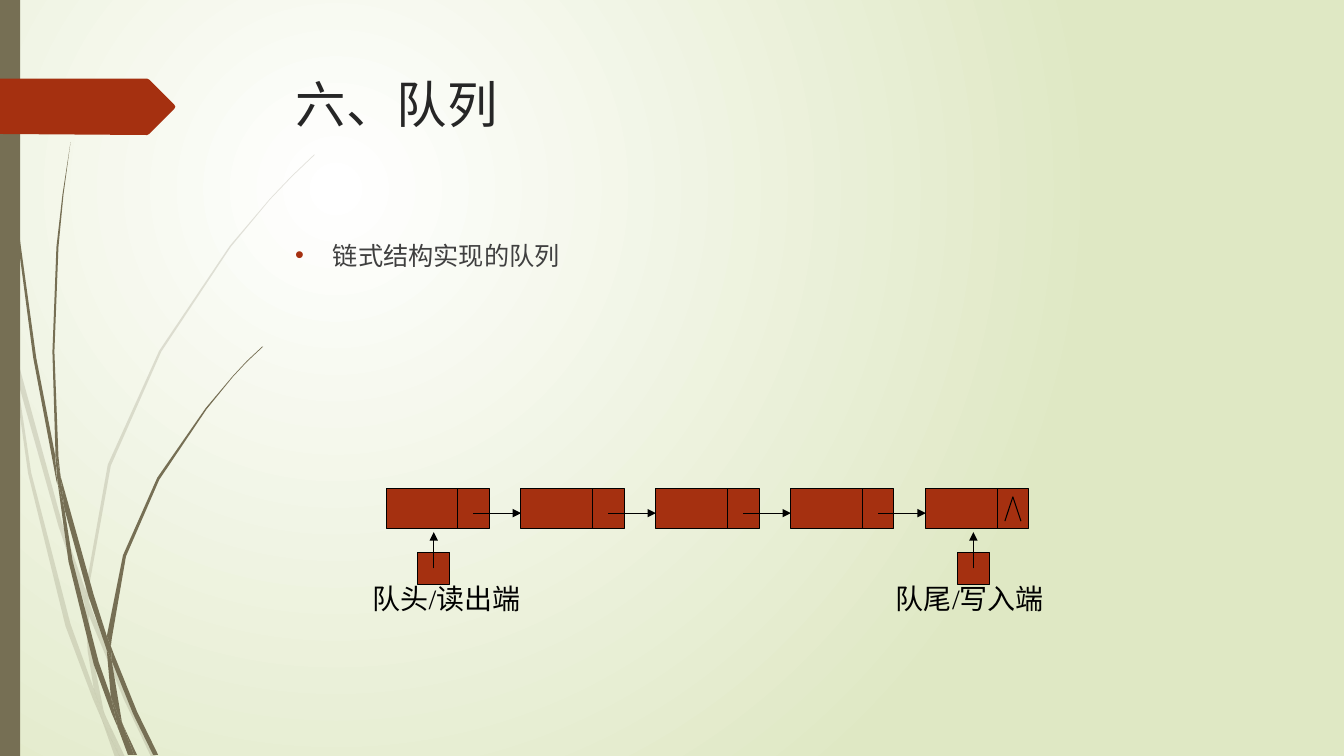
from typing import NamedTuple

import pptx
import pptx.dml.color
import pptx.enum.dml
import pptx.enum.shapes
import pptx.enum.text
import pptx.oxml
import pptx.oxml.ns
import pptx.util
from lxml import etree
from pptx.dml.color import RGBColor
from pptx.util import Cm

qn = pptx.oxml.ns.qn

WHITE = RGBColor(0xFF, 0xFF, 0xFF)
PALE_GREEN = RGBColor(0xDF, 0xE8, 0xC4)
OLIVE = RGBColor(0x76, 0x6F, 0x54)
RUST = RGBColor(0xA5, 0x30, 0x10)
BLACK = RGBColor(0, 0, 0)
TITLE_GREY = RGBColor(0x26, 0x26, 0x26)
BODY_GREY = RGBColor(0x40, 0x40, 0x40)
HEADING_FONT = "League Spartan"
LABEL_FONT = "Times New Roman"

UNIT = Cm(0.0254)
NODE_COUNT = 5
NODE_LEFT, NODE_TOP, NODE_PITCH = 9.73, 12.32, 3.4
NODE_W, NODE_H = 2.6, 0.99

Points = list[tuple[int, int]]


class Pointer(NamedTuple):
    node: int
    label: str
    label_left: float


class Line(NamedTuple):
    x1: float
    y1: float
    x2: float
    y2: float
    arrow: bool = False


POINTERS = [Pointer(4, "队尾/写入端", 22.33), Pointer(0, "队头/读出端", 9.14)]

FAINT_WISPS: list[Points] = [
    [(11, 350), (9, 322), (0, 282), (0, 299), (10, 344)],
    [(58, 522), (84, 599), (85, 586), (62, 520), (14, 345), (17, 376)],
    [(92, 607), (88, 596), (88, 610), (123, 694), (150, 751), (155, 751), (127, 692)],
    [(119, 751), (124, 751), (105, 711)],
    [(93, 683), (70, 619), (31, 469), (17, 376), (11, 350), (28, 470), (65, 621),
     (92, 693), (101, 714), (99, 707)],
    [(84, 599), (87, 646), (93, 683), (96, 692), (105, 711), (103, 706), (91, 646),
     (88, 610), (88, 608)],
    [(88, 584), (110, 462), (160, 349), (229, 245), (268, 198), (290, 175), (312, 154),
     (312, 153), (289, 175), (268, 197), (228, 244), (158, 348), (107, 461), (85, 584),
     (85, 586), (88, 596)],
    [(101, 714), (114, 751), (119, 751)],
    [(88, 608), (88, 610), (88, 596), (85, 586), (84, 599)],
    [(96, 692), (93, 683), (99, 707), (101, 714), (119, 751), (105, 711)],
]
DARK_WISPS: list[Points] = [
    [(7, 110), (17, 233), (33, 355), (56, 477), (57, 481), (55, 457), (55, 453),
     (36, 355), (19, 232), (8, 109), (5, 48), (4, 0), (3, 0), (4, 48)],
    [(88, 592), (106, 645), (106, 633), (106, 631), (93, 590), (60, 472), (64, 505)],
    [(113, 649), (110, 641), (111, 656), (132, 708), (152, 749), (157, 749), (136, 706)],
    [(110, 691), (98, 657), (72, 556), (64, 505), (57, 477), (68, 557), (93, 659),
     (111, 708), (117, 722), (116, 717)],
    [(60, 472), (58, 453), (54, 349), (58, 245), (63, 193), (70, 141), (62, 193),
     (56, 245), (52, 349), (55, 449)],
    [(133, 749), (136, 749), (122, 719)],
    [(57, 477), (64, 505), (60, 472), (55, 449), (55, 453)],
    [(111, 633), (125, 552), (158, 476), (205, 406), (231, 374), (245, 359), (261, 344),
     (260, 344), (245, 358), (231, 373), (204, 405), (156, 474), (122, 551), (106, 631),
     (110, 641)],
    [(117, 722), (127, 749), (131, 749)],
    [(106, 645), (110, 691), (116, 706), (122, 719), (121, 716), (111, 656), (109, 651)],
    [(106, 645), (109, 651), (111, 656), (110, 641), (106, 631), (106, 633)],
    [(116, 706), (110, 691), (116, 717), (117, 722), (130, 749), (133, 749), (122, 719)],
]
TITLE_FLAG: Points = [(0, 78), (146, 78), (148, 79), (173, 104), (174, 106), (173, 108),
                      (148, 133), (146, 134), (0, 133)]
NULL_MARK: Points = [(997, 517), (1005, 493), (1013, 517)]


def set_background(s) -> None:
    fill = s.background.fill
    fill.gradient()
    for stop, color in zip(fill.gradient_stops, (WHITE, PALE_GREEN)):
        stop.color.rgb = color
    grad = next(s.element.iter(qn("a:gradFill")))
    grad.remove(grad.find(qn("a:lin")))
    shade = etree.SubElement(grad, qn("a:path"), {"path": "circle"})
    etree.SubElement(shade, qn("a:fillToRect"),
                     {"l": "50000", "t": "50000", "r": "100000", "b": "100000"})


def add_outline(shapes, points: Points, color: RGBColor, alpha: int = 100):
    fb = shapes.build_freeform(*points[0], scale=UNIT)
    fb.add_line_segments(points[1:], close=True)
    sp = fb.convert_to_shape()
    sp.shadow.inherit = False
    sp.fill.solid()
    sp.fill.fore_color.rgb = color
    sp.line.fill.background()
    if alpha < 100:
        clr = next(sp.element.iter(qn("a:srgbClr")))
        etree.SubElement(clr, qn("a:alpha"), {"val": str(alpha * 1000)})


def add_null_mark(shapes) -> None:
    fb = shapes.build_freeform(*NULL_MARK[0], scale=UNIT)
    fb.add_line_segments(NULL_MARK[1:], close=False)
    sp = fb.convert_to_shape()
    sp.shadow.inherit = False
    sp.fill.background()
    sp.line.color.rgb = BLACK
    sp.line.width = pptx.util.Pt(0.75)


def add_rect(shapes, x: float, y: float, w: float, h: float, color: RGBColor,
             outlined: bool = True) -> None:
    sp = shapes.add_shape(pptx.enum.shapes.MSO_SHAPE.RECTANGLE, Cm(x), Cm(y), Cm(w), Cm(h))
    sp.shadow.inherit = False
    sp.fill.solid()
    sp.fill.fore_color.rgb = color
    if outlined:
        sp.line.color.rgb = BLACK
        sp.line.width = pptx.util.Pt(0.75)
    else:
        sp.line.fill.background()


def add_line(shapes, line: Line) -> None:
    c = shapes.add_connector(pptx.enum.shapes.MSO_CONNECTOR.STRAIGHT,
                             Cm(line.x1), Cm(line.y1), Cm(line.x2), Cm(line.y2))
    c.line.color.rgb = BLACK
    c.line.width = pptx.util.Pt(0.75)
    sp_pr = c.element.find(qn("p:spPr"))
    if line.arrow:
        etree.SubElement(sp_pr.find(qn("a:ln")), qn("a:tailEnd"), {"type": "triangle"})
    etree.SubElement(sp_pr, qn("a:effectLst"))


def add_text(shapes, x: float, y: float, w: float, h: float, text: str, size: int,
             font: str, color: RGBColor, bullet: bool = False) -> None:
    tf = shapes.add_textbox(Cm(x), Cm(y), Cm(w), Cm(h)).text_frame
    tf.word_wrap = True
    tf.vertical_anchor = pptx.enum.text.MSO_ANCHOR.TOP
    p = tf.paragraphs[0]
    if bullet:
        p_pr = p._p.get_or_add_pPr()
        p_pr.set("marL", str(Cm(0.95)))
        p_pr.set("indent", str(Cm(-0.95)))
        bu_clr = etree.SubElement(p_pr, qn("a:buClr"))
        etree.SubElement(bu_clr, qn("a:srgbClr"), {"val": str(RUST)})
        etree.SubElement(p_pr, qn("a:buFont"), {"typeface": "Arial"})
        etree.SubElement(p_pr, qn("a:buChar"), {"char": "•"})
    r = p.add_run()
    r.text = text
    r.font.size = pptx.util.Pt(size)
    r.font.name = font
    r.font.color.rgb = color


def add_queue(shapes) -> None:
    for i in range(NODE_COUNT):
        x = NODE_LEFT + i * NODE_PITCH
        add_rect(shapes, x, NODE_TOP, NODE_W, NODE_H, RUST)
        add_line(shapes, Line(x + 1.8, NODE_TOP, x + 1.8, NODE_TOP + NODE_H))
        if i < NODE_COUNT - 1:
            add_line(shapes, Line(x + 2.2, 12.93, x + NODE_PITCH, 12.93, True))
    for pointer in POINTERS:
        x = NODE_LEFT + pointer.node * NODE_PITCH
        add_rect(shapes, x + 0.8, 13.92, 0.8, 0.8, RUST)
        add_line(shapes, Line(x + 1.2, 14.32, x + 1.2, 13.41, True))
        add_text(shapes, pointer.label_left, 14.53, 4.24, 1.09, pointer.label, 20,
                 LABEL_FONT, BLACK)
    add_null_mark(shapes)


def main() -> None:
    prs = pptx.Presentation()
    prs.slide_width, prs.slide_height = Cm(33.87), Cm(19.05)
    s = prs.slides.add_slide(prs.slide_layouts[6])
    set_background(s)
    for wisps, alpha in ((FAINT_WISPS, 20), (DARK_WISPS, 100)):
        group = s.shapes.add_group_shape()
        for points in wisps:
            add_outline(group.shapes, points, OLIVE, alpha)
    add_rect(s.shapes, 0, 0, 0.51, 19.05, OLIVE, outlined=False)
    add_outline(s.shapes, TITLE_FLAG, RUST)
    add_text(s.shapes, 7.21, 1.73, 24.77, 3.56, "六、队列", 36, HEADING_FONT, TITLE_GREY)
    add_text(s.shapes, 7.19, 5.92, 24.77, 10.49, "链式结构实现的队列", 18, HEADING_FONT,
             BODY_GREY, bullet=True)
    add_queue(s.shapes.add_group_shape().shapes)
    prs.save("out.pptx")


if __name__ == "__main__":
    main()
